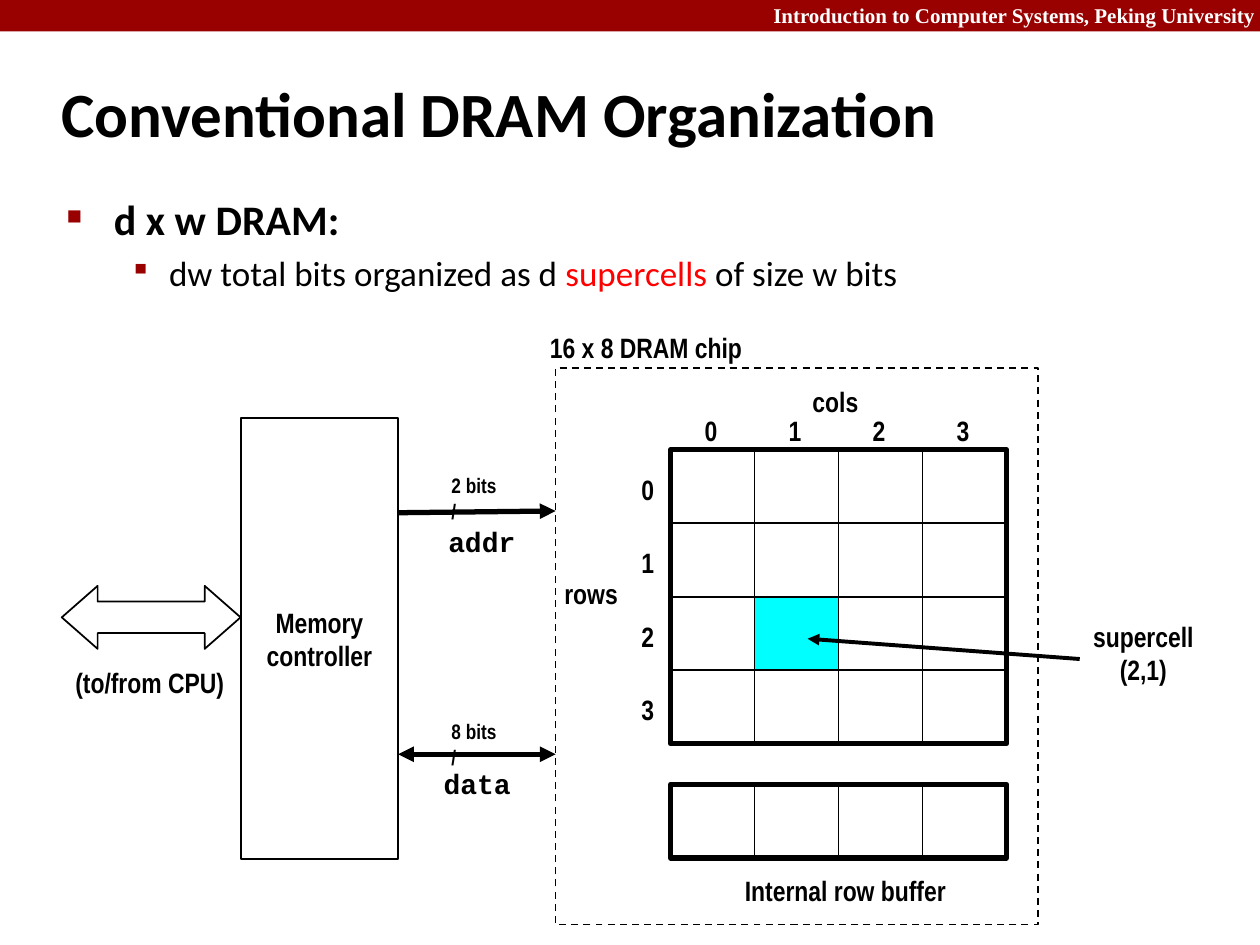
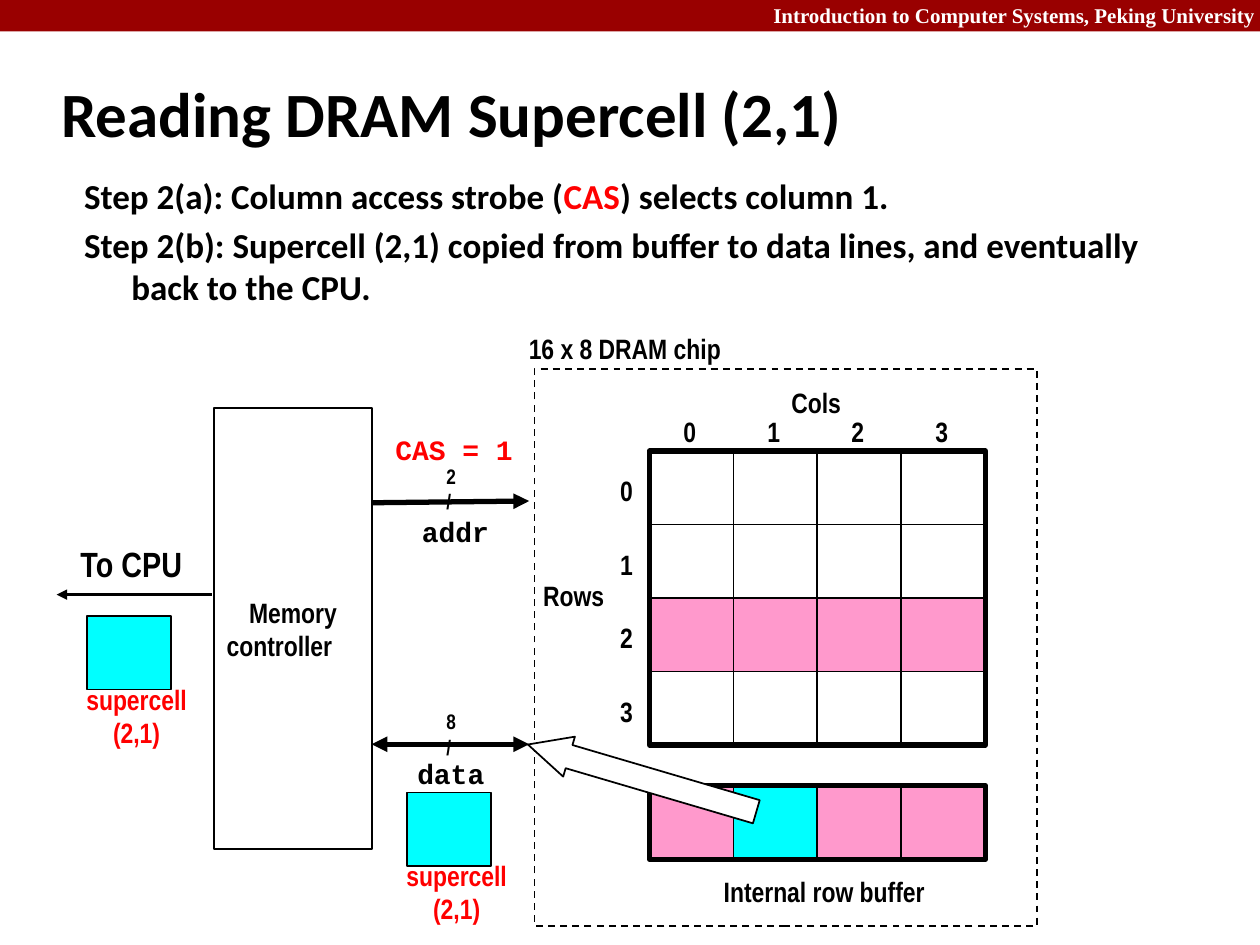
from dataclasses import dataclass
from itertools import product
from typing import NamedTuple, Optional

from lxml.etree import SubElement
from pptx import Presentation
from pptx.dml.color import RGBColor
from pptx.enum.dml import MSO_LINE_DASH_STYLE as Dash
from pptx.enum.shapes import MSO_CONNECTOR_TYPE as Connector, MSO_SHAPE as Preset
from pptx.enum.text import MSO_ANCHOR as Anchor, MSO_AUTO_SIZE as AutoSize, PP_ALIGN as Align
from pptx.oxml.ns import qn
from pptx.util import Pt


class TextStyle(NamedTuple):
    font: str
    size: float
    color: str = "000000"
    bold: bool = True


@dataclass(frozen=True)
class Theme:
    black: str = "000000"
    white: str = "FFFFFF"
    band: str = "990000"
    accent: str = "FF0000"
    supercell: str = "00FFFF"
    open_row: str = "FF99CC"
    thin: float = 1
    medium: float = 2.25
    thick: float = 3
    header: TextStyle = TextStyle("Times New Roman", 12, "FFFFFF")
    title: TextStyle = TextStyle("Calibri", 36)
    heading: TextStyle = TextStyle("Calibri", 24)
    step: TextStyle = TextStyle("Calibri", 20)
    detail: TextStyle = TextStyle("Calibri", 20, bold=False)
    label: TextStyle = TextStyle("Arial Narrow", 16)
    red_label: TextStyle = TextStyle("Arial Narrow", 16, "FF0000")
    large_label: TextStyle = TextStyle("Arial Narrow", 20)
    bus_width: TextStyle = TextStyle("Arial Narrow", 12)
    signal: TextStyle = TextStyle("Courier New", 16)
    red_signal: TextStyle = TextStyle("Courier New", 16, "FF0000")


THEME = Theme()
CELL_WIDTH, CELL_HEIGHT, GRID_SIZE = 48, 42, 4
LABEL_HEIGHT = 26.6


class Box(NamedTuple):
    left: float
    top: float
    width: float
    height: float

    def points(self) -> list:
        return [Pt(value) for value in self]


class Bullet(NamedTuple):
    character: str
    percent: int


class Line(NamedTuple):
    text: str
    style: TextStyle
    highlight: str = ""
    margin: float = 0
    indent: float = 0
    space_before: float = 0
    bullet: Optional[Bullet] = None


class Bus(NamedTuple):
    name: str
    name_left: float
    name_top: float
    start_y: float
    end_y: float
    width_top: float
    two_way: bool


BUSES = (
    Bus("addr", 21.6, 57.3, 54, 53, 27.7, False),
    Bus("data", 19, 195.4, 192, 192, 168.2, True),
)


def style_paragraph(paragraph, style: TextStyle, align: Align = Align.LEFT) -> None:
    paragraph.alignment = align
    font = paragraph.font
    font.name, font.size, font.bold = style.font, Pt(style.size), style.bold
    font.color.rgb = RGBColor.from_string(style.color)


def add_label(slide, text: str, box: Box, style: TextStyle = THEME.label,
              align: Align = Align.LEFT, anchor: Anchor = Anchor.MIDDLE) -> None:
    frame = slide.shapes.add_textbox(*box.points()).text_frame
    frame.word_wrap = False
    frame.auto_size = AutoSize.SHAPE_TO_FIT_TEXT
    frame.vertical_anchor = anchor
    frame.text = text
    for paragraph in frame.paragraphs:
        style_paragraph(paragraph, style, align)


def add_preset(slide, box: Box, fill: Optional[str] = THEME.white, weight: float = THEME.thin,
               preset: Preset = Preset.RECTANGLE, adjustments: tuple = ()):
    shape = slide.shapes.add_shape(preset, *box.points())
    shape.shadow.inherit = False
    if fill:
        shape.fill.solid()
        shape.fill.fore_color.rgb = RGBColor.from_string(fill)
    else:
        shape.fill.background()
    if weight:
        shape.line.color.rgb = RGBColor.from_string(THEME.black)
        shape.line.width = Pt(weight)
    else:
        shape.line.fill.background()
    for index, value in enumerate(adjustments):
        shape.adjustments[index] = value
    return shape


def add_arrow(slide, start: tuple, end: tuple, weight: float, two_way: bool = False) -> None:
    connector = slide.shapes.add_connector(
        Connector.STRAIGHT, *(Pt(value) for value in (*start, *end)))
    connector.line.color.rgb = RGBColor.from_string(THEME.black)
    connector.line.width = Pt(weight)
    outline = connector.line._get_or_add_ln()
    if two_way:
        SubElement(outline, qn("a:headEnd"), type="triangle")
    SubElement(outline, qn("a:tailEnd"), type="triangle")
    SubElement(connector._element.spPr, qn("a:effectLst"))


def add_body(slide, box: Box, lines: list) -> None:
    frame = slide.shapes.add_textbox(*box.points()).text_frame
    frame.word_wrap = True
    for index, line in enumerate(lines):
        paragraph = frame.add_paragraph() if index else frame.paragraphs[0]
        properties = paragraph._p.get_or_add_pPr()
        properties.set("marL", str(Pt(line.margin)))
        properties.set("indent", str(Pt(line.indent)))
        if line.bullet:
            color = SubElement(properties, qn("a:buClr"))
            SubElement(color, qn("a:srgbClr"), val=THEME.band)
            SubElement(properties, qn("a:buSzPct"), val=str(line.bullet.percent * 1000))
            SubElement(properties, qn("a:buChar"), char=line.bullet.character)
        paragraph.space_before = Pt(line.space_before)
        style_paragraph(paragraph, line.style)
        before, mark, after = line.text.partition(line.highlight or line.text)
        for text in filter(None, (before, mark, after)):
            run = paragraph.add_run()
            run.text = text
            if text == line.highlight:
                run.font.color.rgb = RGBColor.from_string(THEME.accent)


def add_base_slide(presentation, title: str):
    slide = presentation.slides.add_slide(presentation.slide_layouts[6])
    add_preset(slide, Box(0, 0, 720, 18), THEME.band, 0)
    add_label(slide, "Introduction to Computer Systems, Peking University",
              Box(432, -2, 292.5, 21.6), THEME.header, Align.RIGHT, Anchor.TOP)
    frame = slide.shapes.add_textbox(*Box(28, 34, 597.6, 60).points()).text_frame
    frame.word_wrap = True
    frame.vertical_anchor = Anchor.MIDDLE
    frame.text = title
    style_paragraph(frame.paragraphs[0], THEME.title)
    return slide


def add_cell(slide, left: float, top: float, fill: str) -> None:
    add_preset(slide, Box(left, top, CELL_WIDTH, CELL_HEIGHT), fill)


def add_chip(slide, left: float, top: float, chip_width: float, captions: tuple,
             cell_fills: dict, buffer_fills: dict) -> None:
    frame = add_preset(slide, Box(left - 65.7, top - 46.8, chip_width, 318.2), None)
    frame.line.dash_style = Dash.DASH
    add_label(slide, "16 x 8 DRAM chip", Box(left - 76, top - 72, 149, LABEL_HEIGHT))
    columns, rows = captions
    add_label(slide, columns, Box(left + 74, top - 41, 45, LABEL_HEIGHT))
    add_label(slide, rows, Box(left - 67.8, top + 69, 51, LABEL_HEIGHT))
    for row, column in product(range(GRID_SIZE), repeat=2):
        add_cell(slide, left + column * CELL_WIDTH, top + row * CELL_HEIGHT,
                 cell_fills.get((row, column), THEME.white))
    buffer_top = top + 191.3
    for index in range(GRID_SIZE):
        add_label(slide, str(index),
                  Box(left + 12.3 + index * CELL_WIDTH, top - 24.6, 23, LABEL_HEIGHT))
        add_label(slide, str(index),
                  Box(left - 23.8, top + 9.3 + index * CELL_HEIGHT, 23, LABEL_HEIGHT))
        add_cell(slide, left + index * CELL_WIDTH, buffer_top,
                 buffer_fills.get(index, THEME.white))
    for outline_top, row_count in ((top, GRID_SIZE), (buffer_top, 1)):
        add_preset(slide, Box(left, outline_top, GRID_SIZE * CELL_WIDTH,
                              row_count * CELL_HEIGHT), None, THEME.thick)
    add_label(slide, "Internal row buffer",
              Box(left + 34.4, top + 238.4, 131, LABEL_HEIGHT), align=Align.CENTER)


def add_controller(slide, left: float, top: float, last_line_align: Align,
                   width_labels: tuple, width_left: float, width_box: float) -> None:
    controller = add_preset(slide, Box(left, top, 90, 252))
    frame = controller.text_frame
    frame.word_wrap = False
    frame.vertical_anchor = Anchor.MIDDLE
    frame.text = "Memory\ncontroller"
    for paragraph, align in zip(frame.paragraphs, (Align.CENTER, last_line_align)):
        style_paragraph(paragraph, THEME.label, align)
    right = left + 90
    for bus, width_label in zip(BUSES, width_labels):
        add_arrow(slide, (right, top + bus.start_y), (right + 90, top + bus.end_y),
                  THEME.thick, bus.two_way)
        add_label(slide, bus.name,
                  Box(right + bus.name_left, top + bus.name_top, 53, LABEL_HEIGHT), THEME.signal)
        add_label(slide, f"{width_label}\n/",
                  Box(right + width_left, top + bus.width_top, width_box, 36), THEME.bus_width)


def add_supercell_label(slide, left: float, top: float, style: TextStyle) -> None:
    add_label(slide, "supercell\n(2,1)", Box(left, top, 72.7, 46), style, Align.CENTER)


def add_supercell_packet(slide, left: float, top: float) -> None:
    add_supercell_label(slide, left - 8, top + 33.8, THEME.red_label)
    add_cell(slide, left, top, THEME.supercell)


def build_organization(presentation) -> None:
    slide = add_base_slide(presentation, "Conventional DRAM Organization")
    add_body(slide, Box(31, 107.3, 622, 70), [
        Line("d x w DRAM:", THEME.heading, margin=27, indent=-27, bullet=Bullet("■", 50)),
        Line("dw total bits organized as d supercells of size w bits", THEME.detail,
             "supercells", 58.5, -22.5, 4, Bullet("▪", 85)),
    ])
    add_chip(slide, 383.2, 257, 275.8, ("cols", "rows"), {(2, 1): THEME.supercell}, {})
    add_controller(slide, 137.5, 239, Align.CENTER, ("2 bits", "8 bits"), 23.4, 46)
    add_supercell_label(slide, 617, 350, THEME.label)
    add_arrow(slide, (617, 376.6), (461.5, 365), THEME.medium)
    add_preset(slide, Box(35.3, 334.8, 102.2, 36), preset=Preset.LEFT_RIGHT_ARROW,
               adjustments=(0.5, 0.57))
    add_label(slide, "(to/from CPU)", Box(36, 376.6, 100.8, LABEL_HEIGHT))


def build_reading(presentation) -> None:
    slide = add_base_slide(presentation, "Reading DRAM Supercell (2,1)")
    add_body(slide, Box(41, 96, 637, 84), [
        Line("Step 2(a): Column access strobe (CAS) selects column 1.", THEME.step,
             "CAS", 27, -27),
        Line("Step 2(b): Supercell (2,1) copied from buffer to data lines, "
             "and eventually back to the CPU.", THEME.step, "", 27, -27, 4),
    ])
    buffer_fills = dict.fromkeys(range(GRID_SIZE), THEME.open_row) | {1: THEME.supercell}
    open_row = {(2, column): THEME.open_row for column in range(GRID_SIZE)}
    add_chip(slide, 371.1, 257.7, 287.3, ("Cols", "Rows"), open_row, buffer_fills)
    add_controller(slide, 122.4, 233.3, Align.LEFT, ("2", "8"), 35.6, 21)
    add_label(slide, "CAS = 1", Box(218.9, 243.4, 82, LABEL_HEIGHT), THEME.red_signal)
    transfer = add_preset(slide, Box(355, 376.6, 23.8, 136.1), preset=Preset.DOWN_ARROW,
                          adjustments=(0.58, 1.03))
    transfer.rotation = 106.4
    add_supercell_packet(slide, 232.6, 452.9)
    add_supercell_packet(slide, 49.7, 352.1)
    add_arrow(slide, (121, 339.8), (32.4, 339.8), 1.5)
    add_label(slide, "To CPU", Box(30, 306, 90, 31.7), THEME.large_label, Align.CENTER)


def main() -> None:
    presentation = Presentation()
    presentation.slide_width, presentation.slide_height = Pt(720), Pt(540)
    build_organization(presentation)
    build_reading(presentation)
    presentation.save("out.pptx")


if __name__ == "__main__":
    main()
